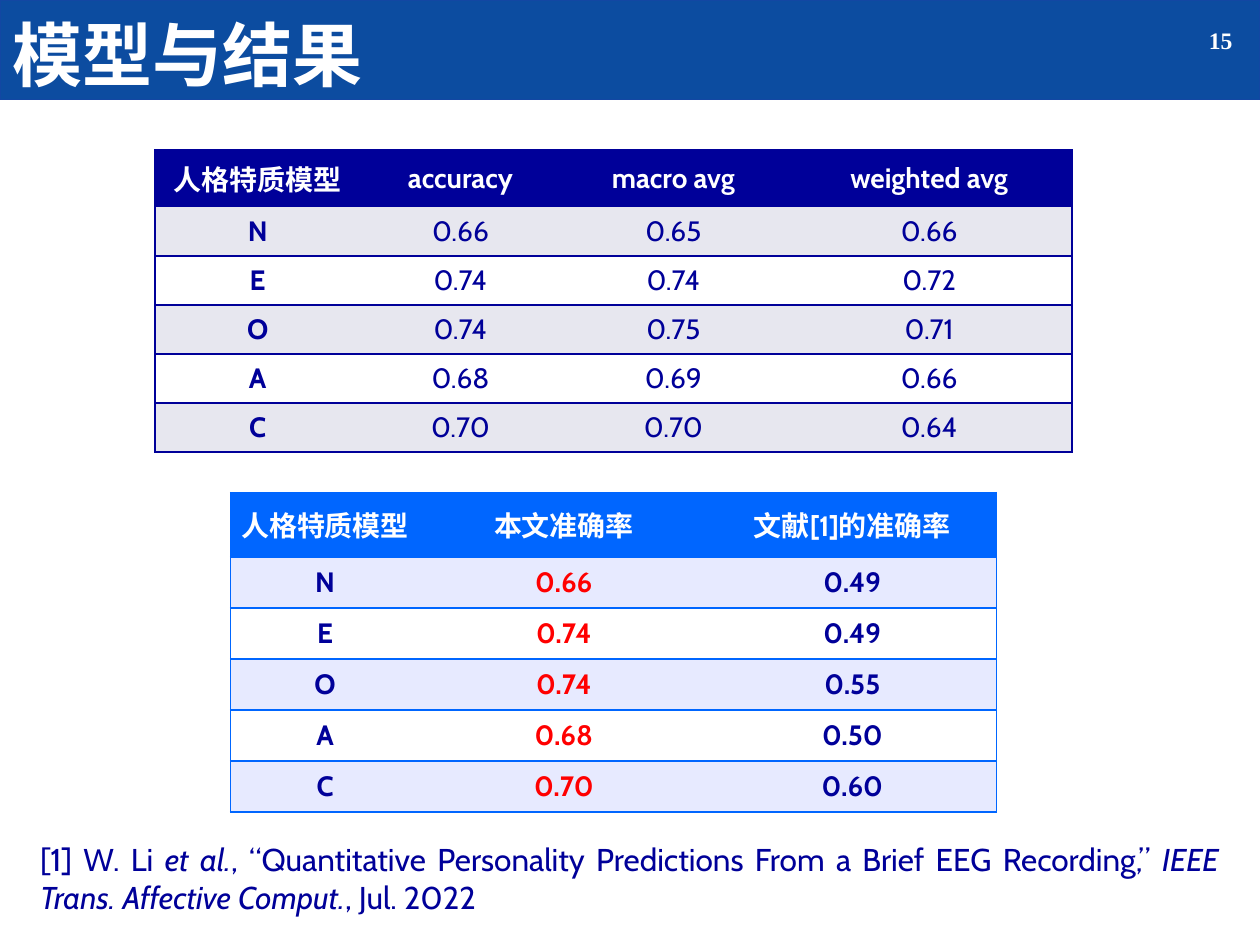
from dataclasses import dataclass

from lxml import etree
from pptx import Presentation
from pptx.dml.color import RGBColor
from pptx.enum.shapes import MSO_SHAPE
from pptx.enum.text import MSO_ANCHOR, PP_ALIGN
from pptx.oxml.ns import qn
from pptx.util import Inches, Pt

RECTANGLE = MSO_SHAPE.RECTANGLE
MIDDLE = MSO_ANCHOR.MIDDLE
LEFT, CENTER, RIGHT, JUSTIFY = PP_ALIGN.LEFT, PP_ALIGN.CENTER, PP_ALIGN.RIGHT, PP_ALIGN.JUSTIFY

WHITE = RGBColor(0xFF, 0xFF, 0xFF)
BAND_BLUE = RGBColor(0x0C, 0x4C, 0xA0)
BAND_EDGE = RGBColor(0x12, 0x47, 0xA3)
NAVY = RGBColor(0x00, 0x00, 0x99)
BRIGHT_BLUE = RGBColor(0x00, 0x66, 0xFF)
PALE_GREY = RGBColor(0xE7, 0xE7, 0xEF)
PALE_BLUE = RGBColor(0xE7, 0xEA, 0xFF)
RED = RGBColor(0xFF, 0x00, 0x00)

BODY_FONT = "Cabin"
CHINESE_FONT = "Noto Sans CJK SC"
NUMBER_FONT = "Times New Roman"


@dataclass
class ColumnStyle:
    width: float
    color: RGBColor
    bold: bool


@dataclass
class ResultTable:
    left: float
    top: float
    columns: list[ColumnStyle]
    header_height: float
    row_height: float
    accent: RGBColor
    stripe: RGBColor
    rows: list[list[str]]


MODEL_SCORES = ResultTable(
    1.23, 1.19,
    [ColumnStyle(1.63, NAVY, True), ColumnStyle(1.59, NAVY, False),
     ColumnStyle(1.79, NAVY, False), ColumnStyle(2.27, NAVY, False)],
    0.45, 0.39, NAVY, PALE_GREY,
    [["人格特质模型", "accuracy", "macro avg", "weighted avg"],
     ["N", "0.66", "0.65", "0.66"],
     ["E", "0.74", "0.74", "0.72"],
     ["O", "0.74", "0.75", "0.71"],
     ["A", "0.68", "0.69", "0.66"],
     ["C", "0.70", "0.70", "0.64"]],
)
ACCURACY_COMPARISON = ResultTable(
    1.83, 3.91,
    [ColumnStyle(1.5, NAVY, True), ColumnStyle(2.29, RED, True), ColumnStyle(2.29, NAVY, True)],
    0.51, 0.405, BRIGHT_BLUE, PALE_BLUE,
    [["人格特质模型", "本文准确率", "文献[1]的准确率"],
     ["N", "0.66", "0.49"],
     ["E", "0.74", "0.49"],
     ["O", "0.74", "0.55"],
     ["A", "0.68", "0.50"],
     ["C", "0.70", "0.60"]],
)
REFERENCE = [
    ("[1] W. Li ", False),
    ("et al.", True),
    (", “Quantitative Personality Predictions From a Brief EEG Recording,” ", False),
    ("IEEE Trans. Affective Comput.", True),
    (", Jul. 2022", False),
]


def format_run(run, size: float, color: RGBColor, font_name: str = BODY_FONT,
               bold: bool = False, italic: bool = False) -> None:
    run.font.size = Pt(size)
    run.font.name = font_name
    run.font.bold = bold
    run.font.italic = italic
    run.font.color.rgb = color
    east_asian = etree.Element(qn("a:ea"), typeface=CHINESE_FONT)
    run.font._element.find(qn("a:latin")).addnext(east_asian)


def set_borders(cell, color: RGBColor, sides: str) -> None:
    properties = cell._tc.get_or_add_tcPr()
    for side in "LRTB":
        line = etree.SubElement(properties, qn(f"a:ln{side}"), w=str(Pt(1)))
        if side in sides:
            fill = etree.SubElement(line, qn("a:solidFill"))
            etree.SubElement(fill, qn("a:srgbClr"), val=str(color))
        else:
            etree.SubElement(line, qn("a:noFill"))


def add_title(slide, text: str) -> None:
    title = slide.shapes.title
    title.left, title.top, title.width, title.height = 0, 0, Inches(10), Inches(0.85)
    title.text_frame.text = text
    title.text_frame.vertical_anchor = MIDDLE
    paragraph = title.text_frame.paragraphs[0]
    paragraph.alignment = LEFT
    format_run(paragraph.runs[0], 40, WHITE, CHINESE_FONT, bold=True)

    band = slide.shapes.add_shape(RECTANGLE, 0, 0, Inches(10), Inches(0.79))
    band.shadow.inherit = False
    band.fill.solid()
    band.fill.fore_color.rgb = BAND_BLUE
    band.line.color.rgb = BAND_EDGE
    band.line.width = Pt(0.75)
    title.element.addprevious(band.element)


def add_slide_number(slide, number: str) -> None:
    text_box = slide.shapes.add_textbox(Inches(8.15), Inches(0.16), Inches(1.73), Inches(0.33))
    text_box.text_frame.word_wrap = True
    text_box.text_frame.text = number
    paragraph = text_box.text_frame.paragraphs[0]
    paragraph.alignment = RIGHT
    format_run(paragraph.runs[0], 13.5, WHITE, NUMBER_FONT, bold=True)


def add_result_table(slide, result: ResultTable) -> None:
    row_heights = [result.header_height] + [result.row_height] * (len(result.rows) - 1)
    table = slide.shapes.add_table(
        len(result.rows), len(result.columns), Inches(result.left), Inches(result.top),
        Inches(sum(column.width for column in result.columns)), Inches(sum(row_heights)),
    ).table
    for table_column, column in zip(table.columns, result.columns):
        table_column.width = Inches(column.width)
    last_column = len(result.columns) - 1
    for row_index, (values, height) in enumerate(zip(result.rows, row_heights)):
        table.rows[row_index].height = Inches(height)
        is_header = row_index == 0
        background = result.accent if is_header else result.stripe if row_index % 2 else WHITE
        for column_index, (value, column) in enumerate(zip(values, result.columns)):
            cell = table.cell(row_index, column_index)
            sides = "TB" + "L" * (column_index == 0) + "R" * (column_index == last_column)
            set_borders(cell, result.accent, sides)
            cell.fill.solid()
            cell.fill.fore_color.rgb = background
            cell.vertical_anchor = MIDDLE
            cell.margin_left = cell.margin_right = Inches(0.07)
            cell.margin_top = cell.margin_bottom = 0
            cell.text_frame.text = value
            paragraph = cell.text_frame.paragraphs[0]
            paragraph.alignment = CENTER
            format_run(paragraph.runs[0], 16, WHITE if is_header else column.color,
                       bold=is_header or column.bold)


def add_reference(slide) -> None:
    text_box = slide.shapes.add_textbox(Inches(0.22), Inches(6.62), Inches(9.55), Inches(0.71))
    text_box.text_frame.word_wrap = True
    paragraph = text_box.text_frame.paragraphs[0]
    paragraph.alignment = JUSTIFY
    for text, italic in REFERENCE:
        run = paragraph.add_run()
        run.text = text
        format_run(run, 18, NAVY, italic=italic)


def main() -> None:
    presentation = Presentation()
    presentation.slide_width = Inches(10)
    presentation.slide_height = Inches(7.5)
    slide = presentation.slides.add_slide(presentation.slide_layouts[5])
    add_title(slide, "模型与结果")
    add_slide_number(slide, "15")
    for result in (MODEL_SCORES, ACCURACY_COMPARISON):
        add_result_table(slide, result)
    add_reference(slide)
    presentation.save("out.pptx")


if __name__ == "__main__":
    main()
